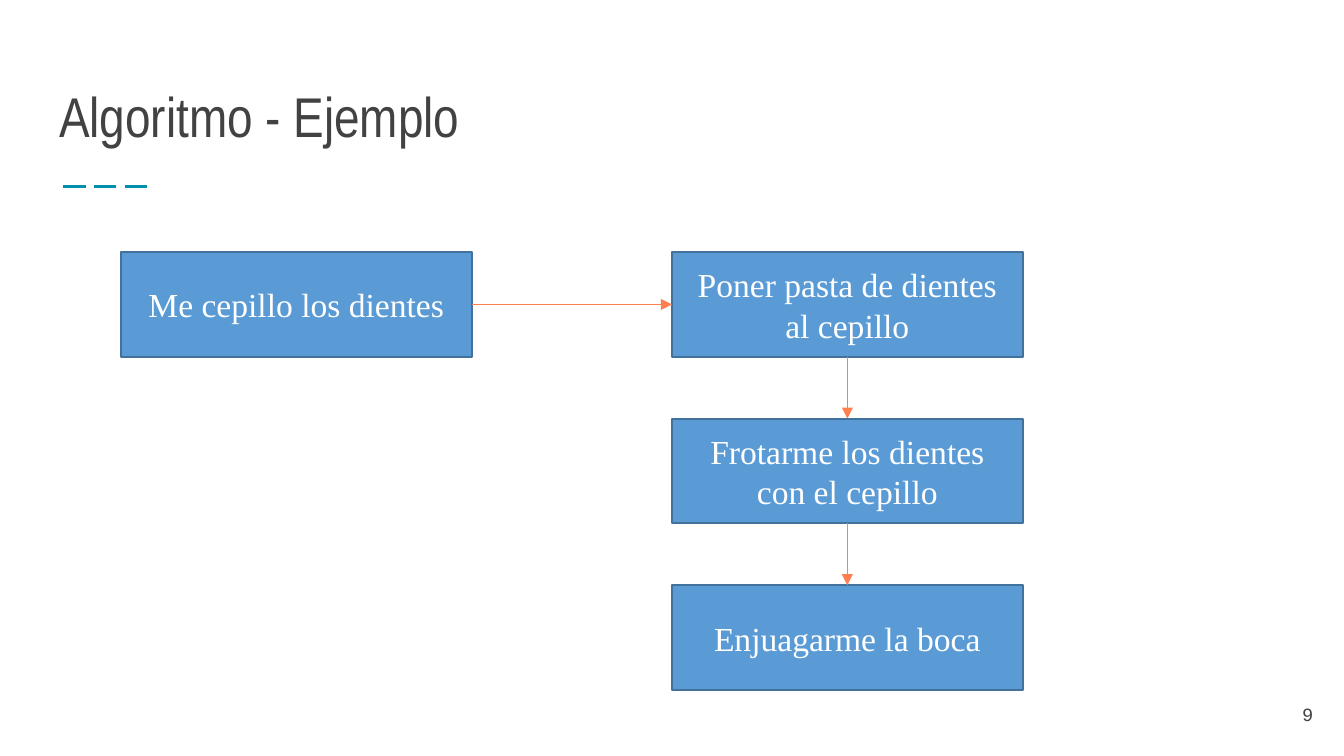
"""Build a slide that breaks the tooth-brushing algorithm into steps."""
from dataclasses import dataclass

from pptx import Presentation
from pptx.dml.color import RGBColor
from pptx.enum.dml import MSO_LINE
from pptx.enum.shapes import MSO_CONNECTOR, MSO_SHAPE
from pptx.enum.text import MSO_ANCHOR, MSO_AUTO_SIZE, PP_ALIGN
from pptx.oxml.ns import qn
from pptx.shapes.autoshape import Shape
from pptx.shapes.connector import Connector
from pptx.slide import Slide
from pptx.util import Inches, Pt
from lxml.etree import SubElement

WHITE = RGBColor(0xFF, 0xFF, 0xFF)
CHARCOAL = RGBColor(0x42, 0x42, 0x42)
TEAL = RGBColor(0x00, 0x90, 0xAC)
BLUE = RGBColor(0x5B, 0x9B, 0xD5)
DARK_BLUE = RGBColor(0x42, 0x71, 0x9B)
CORAL = RGBColor(0xFF, 0x7F, 0x50)

SLIDE_WIDTH = 10
SLIDE_HEIGHT = SLIDE_WIDTH * 9 / 16
GRID_LEFT, GRID_TOP = 0.9, SLIDE_HEIGHT / 3
COLUMN_PITCH, ROW_PITCH = 4.1, 1.24
STEP_WIDTH, STEP_HEIGHT = 2.61, 0.78
TOP, LEFT, BOTTOM, RIGHT = range(4)


@dataclass(frozen=True)
class Step:
    """A step of the algorithm and its grid cell."""
    text: str
    column: int
    row: int


@dataclass(frozen=True)
class Arrow:
    """A link between two steps, by index and side."""
    start: int
    start_side: int
    end: int
    end_side: int


STEPS = [
    Step("Me cepillo los dientes", 0, 0),
    Step("Poner pasta de dientes al cepillo", 1, 0),
    Step("Frotarme los dientes con el cepillo", 1, 1),
    Step("Enjuagarme la boca", 1, 2),
]
ARROWS = [Arrow(0, RIGHT, 1, LEFT), Arrow(1, BOTTOM, 2, TOP), Arrow(2, BOTTOM, 3, TOP)]


def write_text(box: Shape, text: str, font_name: str, size: float, color: RGBColor,
               align: PP_ALIGN, anchor: MSO_ANCHOR, vertical_inset: float) -> None:
    """Write one formatted paragraph into a box."""
    frame = box.text_frame
    frame.text = text
    frame_format = {
        "word_wrap": True, "auto_size": MSO_AUTO_SIZE.NONE, "vertical_anchor": anchor,
        "margin_left": Inches(0.1), "margin_right": Inches(0.1),
        "margin_top": Inches(vertical_inset), "margin_bottom": Inches(vertical_inset),
    }
    for name, value in frame_format.items():
        setattr(frame, name, value)
    para = frame.paragraphs[0]
    para.alignment = align
    span = para.runs[0]
    for name, value in {"name": font_name, "size": Pt(size)}.items():
        setattr(span.font, name, value)
    span.font.color.rgb = color


def style_connector(line: Connector, color: RGBColor, width: float) -> None:
    """Color a connector and clear its shadow."""
    line.line.color.rgb = color
    line.line.width = Pt(width)
    SubElement(line._element.spPr, qn("a:effectLst"))


def draw_title(page: Slide, text: str) -> None:
    """Place the title and the dashed rule below it."""
    title = page.shapes.title
    place = {"left": 0.34, "top": 0.41, "width": 9.32, "height": 0.8}
    for name, value in place.items():
        setattr(title, name, Inches(value))
    write_text(title, text, "Arial Narrow", 30, CHARCOAL,
               PP_ALIGN.LEFT, MSO_ANCHOR.BOTTOM, 0.1)
    rule = page.shapes.add_connector(
        MSO_CONNECTOR.STRAIGHT, Inches(0.47), Inches(1.39), Inches(1.14), Inches(1.39))
    style_connector(rule, TEAL, 1.5)
    rule.line.dash_style = MSO_LINE.LONG_DASH


def draw_step(page: Slide, step: Step) -> Shape:
    """Draw a step in its grid cell."""
    box = page.shapes.add_shape(
        MSO_SHAPE.RECTANGLE,
        Inches(GRID_LEFT + step.column * COLUMN_PITCH),
        Inches(GRID_TOP + step.row * ROW_PITCH),
        Inches(STEP_WIDTH), Inches(STEP_HEIGHT))
    box.shadow.inherit = False
    box.fill.solid()
    box.fill.fore_color.rgb = BLUE
    box.line.color.rgb = DARK_BLUE
    box.line.width = Pt(1)
    write_text(box, step.text, "Times New Roman", 18, WHITE,
               PP_ALIGN.CENTER, MSO_ANCHOR.MIDDLE, 0.05)
    return box


def draw_arrow(page: Slide, boxes: list[Shape], arrow: Arrow) -> None:
    """Join two steps with an arrow."""
    line = page.shapes.add_connector(MSO_CONNECTOR.STRAIGHT, 0, 0, 0, 0)
    line.begin_connect(boxes[arrow.start], arrow.start_side)
    line.end_connect(boxes[arrow.end], arrow.end_side)
    style_connector(line, CORAL, 0.75)
    SubElement(line.line._get_or_add_ln(), qn("a:tailEnd"), type="triangle")


def main() -> None:
    """Build and save the deck."""
    deck = Presentation()
    deck.slide_width, deck.slide_height = Inches(SLIDE_WIDTH), Inches(SLIDE_HEIGHT)
    page = deck.slides.add_slide(deck.slide_layouts.get_by_name("Title Only"))
    draw_title(page, "Algoritmo - Ejemplo")
    number = page.shapes.add_textbox(Inches(9.27), Inches(5.1), Inches(0.6), Inches(0.43))
    write_text(number, "9", "Courier New", 10, CHARCOAL,
               PP_ALIGN.RIGHT, MSO_ANCHOR.MIDDLE, 0.1)
    boxes = [draw_step(page, step) for step in STEPS]
    for arrow in ARROWS:
        draw_arrow(page, boxes, arrow)
    deck.save("out.pptx")


if __name__ == "__main__":
    main()
